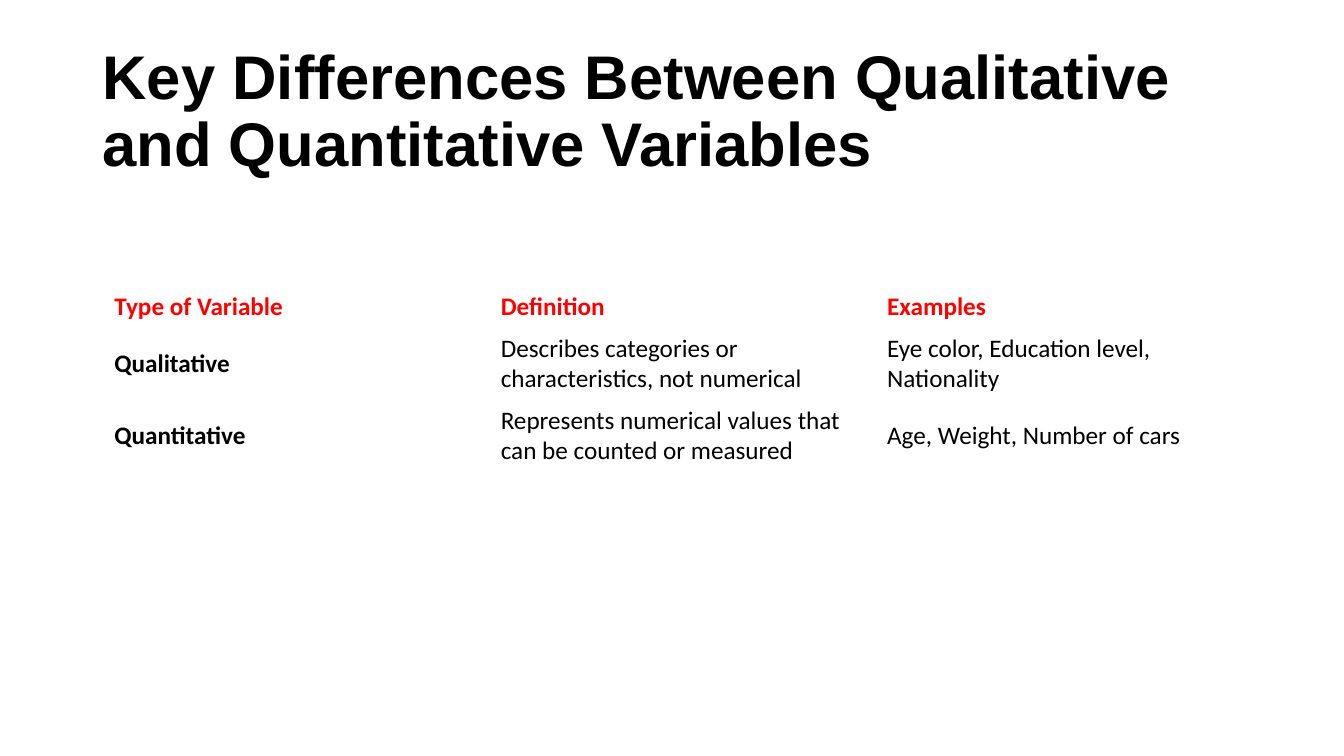
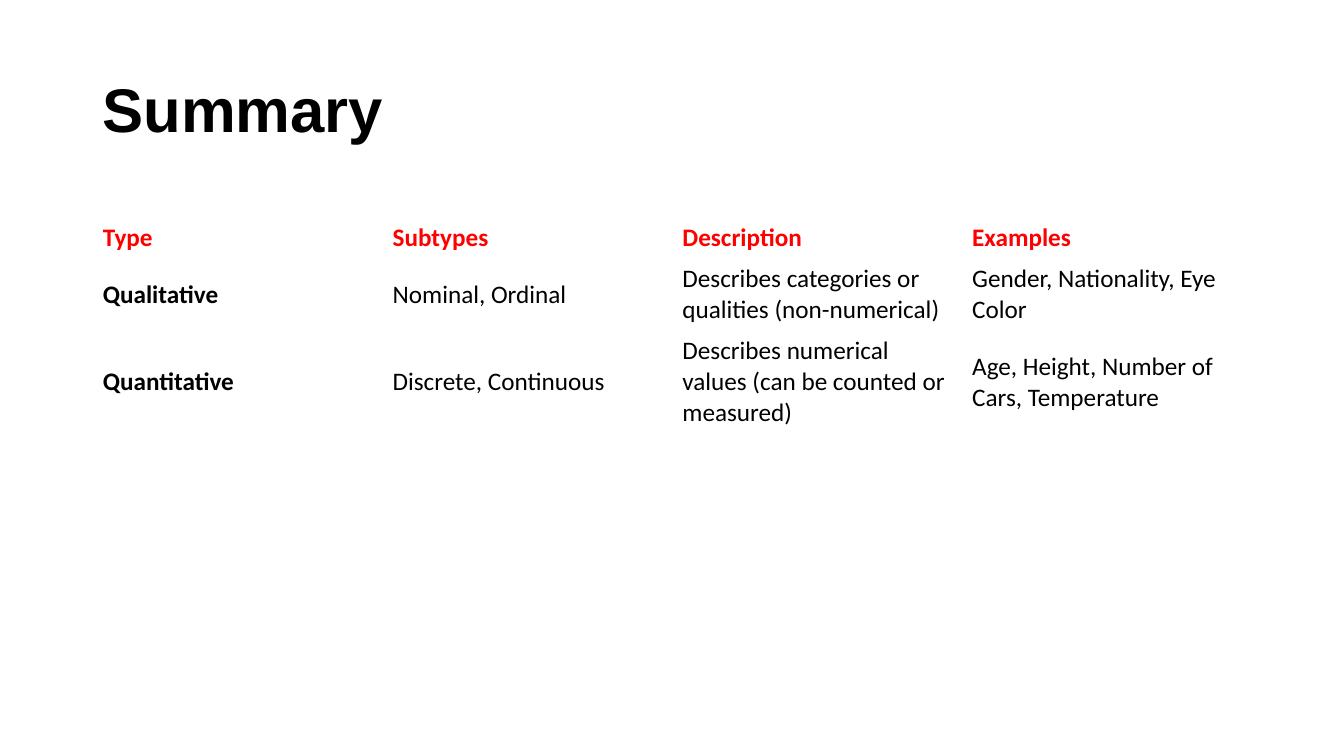
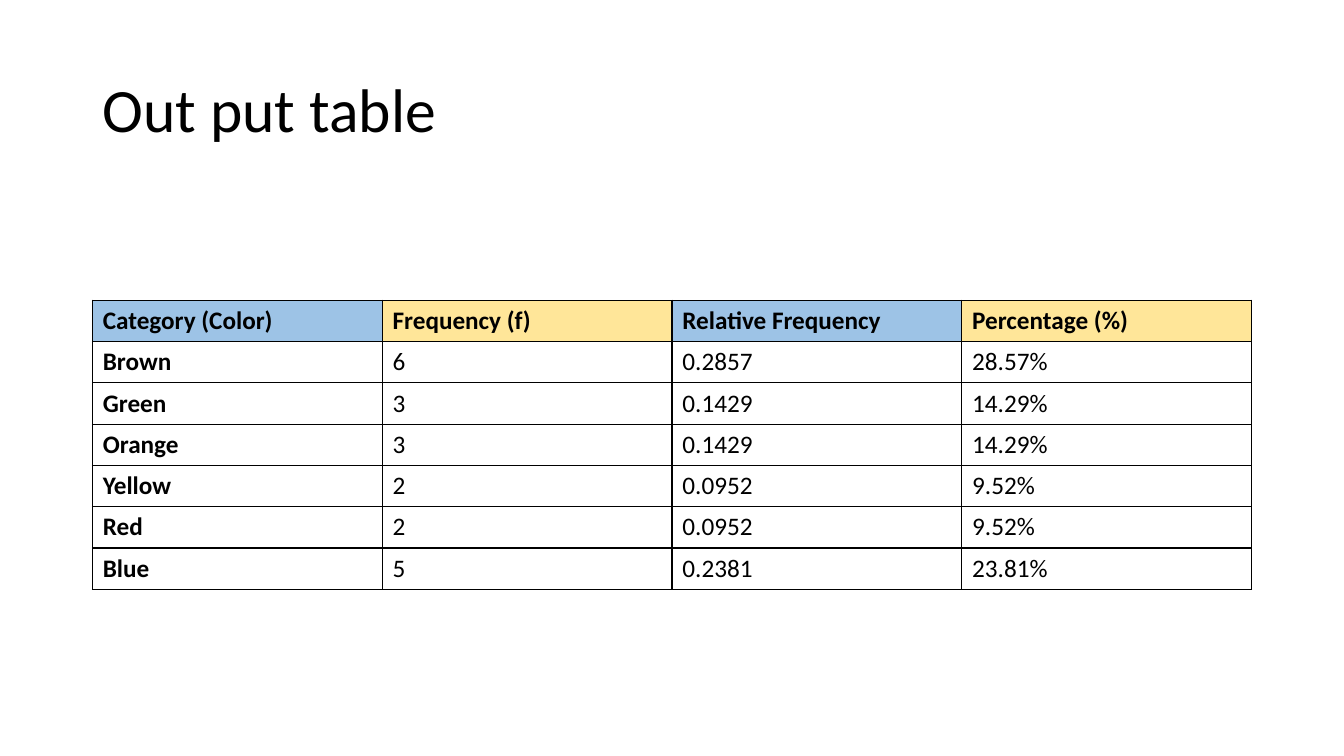
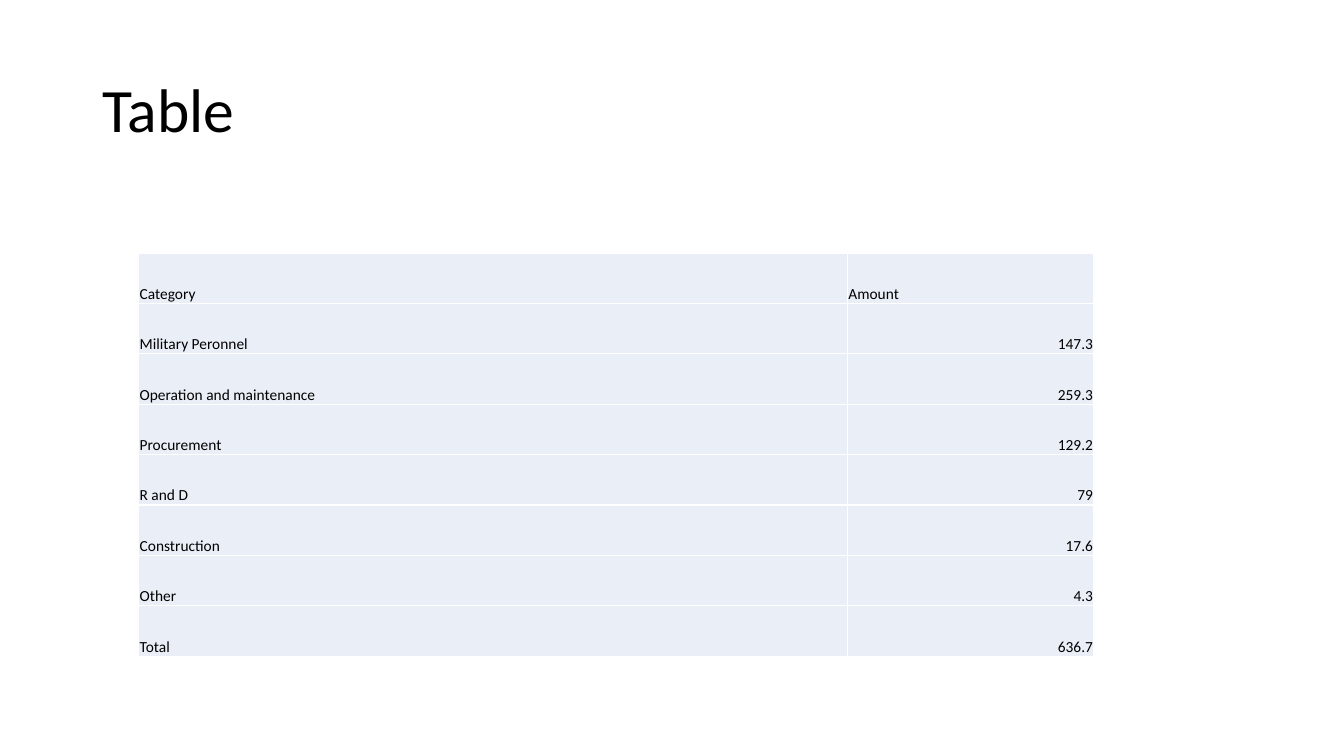
from dataclasses import dataclass
from itertools import cycle
from typing import Optional

from lxml.etree import SubElement
from pptx import Presentation
from pptx.dml.color import RGBColor
from pptx.enum.text import MSO_ANCHOR as Anchor, MSO_AUTO_SIZE as AutoSize, PP_ALIGN as Align
from pptx.oxml.ns import qn
from pptx.util import Pt

EMU_PER_PX = 9525
TITLE_ONLY_LAYOUT = 5


@dataclass(frozen=True)
class Theme:
    body_font: str = "Calibri"
    heading_font: str = "Arial"
    ink: str = "000000"
    red: str = "FF0000"
    blue: str = "9DC3E6"
    yellow: str = "FFE699"
    pale: str = "EAEFF7"
    white: str = "FFFFFF"
    title_size: int = 44
    table_size: int = 18
    small_size: int = 11


THEME = Theme()


@dataclass(frozen=True)
class TableStyle:
    size: int = THEME.table_size
    header_color: str = THEME.ink
    bold_labels: bool = True
    header_fills: tuple[Optional[str], ...] = (None,)
    body_fill: Optional[str] = None
    border: Optional[str] = None
    anchor: Anchor = Anchor.MIDDLE
    number_align: Align = Align.LEFT
    margins: tuple[int, int, int, int] = (10, 5, 10, 5)


@dataclass(frozen=True)
class TableSlide:
    title: str
    left: int
    top: int
    columns: tuple[int, ...]
    row_heights: tuple[int, ...]
    rows: tuple[tuple[str, ...], ...]
    style: TableStyle
    title_font: str = THEME.body_font
    title_bold: bool = False


DEFINITIONS = TableStyle(header_color=THEME.red)
FREQUENCIES = TableStyle(header_fills=(THEME.blue, THEME.yellow), border=THEME.ink)
AMOUNTS = TableStyle(
    size=THEME.small_size,
    bold_labels=False,
    header_fills=(THEME.pale,),
    body_fill=THEME.pale,
    border=THEME.white,
    anchor=Anchor.BOTTOM,
    number_align=Align.RIGHT,
    margins=(1, 1, 1, 0),
)

SLIDES = (
    TableSlide(
        title="Key Differences Between Qualitative and Quantitative Variables",
        left=99,
        top=273,
        columns=(368,) * 3,
        row_heights=(39, 68, 68),
        rows=(
            ("Type of Variable", "Definition", "Examples"),
            ("Qualitative", "Describes categories or characteristics, not numerical",
             "Eye color, Education level, Nationality"),
            ("Quantitative", "Represents numerical values that can be counted or measured",
             "Age, Weight, Number of cars"),
        ),
        style=DEFINITIONS,
        title_font=THEME.heading_font,
        title_bold=True,
    ),
    TableSlide(
        title="Summary",
        left=88,
        top=207,
        columns=(276,) * 4,
        row_heights=(39, 68, 98),
        rows=(
            ("Type", "Subtypes", "Description", "Examples"),
            ("Qualitative", "Nominal, Ordinal",
             "Describes categories or qualities (non-numerical)",
             "Gender, Nationality, Eye Color"),
            ("Quantitative", "Discrete, Continuous",
             "Describes numerical values (can be counted or measured)",
             "Age, Height, Number of Cars, Temperature"),
        ),
        style=DEFINITIONS,
        title_font=THEME.heading_font,
        title_bold=True,
    ),
    TableSlide(
        title="Out put table",
        left=88,
        top=286,
        columns=(276,) * 4,
        row_heights=(39,) * 7,
        rows=(
            ("Category (Color)", "Frequency (f)", "Relative Frequency", "Percentage (%)"),
            ("Brown", "6", "0.2857", "28.57%"),
            ("Green", "3", "0.1429", "14.29%"),
            ("Orange", "3", "0.1429", "14.29%"),
            ("Yellow", "2", "0.0952", "9.52%"),
            ("Red", "2", "0.0952", "9.52%"),
            ("Blue", "5", "0.2381", "23.81%"),
        ),
        style=FREQUENCIES,
    ),
    TableSlide(
        title="Table",
        left=132,
        top=241,
        columns=(675, 235),
        row_heights=(48,) * 8,
        rows=(
            ("Category", "Amount"),
            ("Military Peronnel", "147.3"),
            ("Operation and maintenance", "259.3"),
            ("Procurement", "129.2"),
            ("R and D", "79"),
            ("Construction", "17.6"),
            ("Other", "4.3"),
            ("Total", "636.7"),
        ),
        style=AMOUNTS,
    ),
)


def px(length: int) -> int:
    return length * EMU_PER_PX


def write_text(text_frame, text: str, *, size: int, font: str = THEME.body_font,
               color: str = THEME.ink, bold: bool = False, align: Align = Align.LEFT,
               line_spacing: float = 1.0) -> None:
    paragraph = text_frame.paragraphs[0]
    paragraph.alignment = align
    paragraph.line_spacing = line_spacing
    run = paragraph.add_run()
    run.text = text
    run.font.name = font
    run.font.size = Pt(size)
    run.font.bold = bold
    run.font.color.rgb = RGBColor.from_string(color)


def add_title(slide, content: TableSlide) -> None:
    title = slide.shapes.title
    title.left, title.top, title.width, title.height = map(px, (88, 38, 1104, 139))
    text_frame = title.text_frame
    text_frame.word_wrap = True
    text_frame.auto_size = AutoSize.NONE
    text_frame.vertical_anchor = Anchor.MIDDLE
    write_text(text_frame, content.title, size=THEME.title_size, font=content.title_font,
               bold=content.title_bold, line_spacing=0.9)


def set_borders(cell, color: str) -> None:
    properties = cell._tc.get_or_add_tcPr()
    for side in ("lnL", "lnR", "lnT", "lnB"):
        line = SubElement(properties, qn(f"a:{side}"), w=str(Pt(1)))
        SubElement(SubElement(line, qn("a:solidFill")), qn("a:srgbClr"), val=color)


def format_cell(cell, style: TableStyle, fill: Optional[str]) -> None:
    cell.vertical_anchor = style.anchor
    (cell.margin_left, cell.margin_top,
     cell.margin_right, cell.margin_bottom) = map(px, style.margins)
    if style.border:
        set_borders(cell, style.border)
    if fill:
        cell.fill.solid()
        cell.fill.fore_color.rgb = RGBColor.from_string(fill)
    else:
        cell.fill.background()


def add_table(slide, content: TableSlide) -> None:
    style = content.style
    table = slide.shapes.add_table(
        len(content.rows), len(content.columns), px(content.left), px(content.top),
        px(sum(content.columns)), px(sum(content.row_heights))).table
    table.first_row = False
    table.horz_banding = False
    for column, width in zip(table.columns, content.columns):
        column.width = px(width)
    for row, height in zip(table.rows, content.row_heights):
        row.height = px(height)
    for row_index, texts in enumerate(content.rows):
        is_header = row_index == 0
        fills = cycle(style.header_fills if is_header else (style.body_fill,))
        for column_index, (text, fill) in enumerate(zip(texts, fills)):
            is_label = is_header or column_index == 0
            cell = table.cell(row_index, column_index)
            format_cell(cell, style, fill)
            write_text(cell.text_frame, text, size=style.size,
                       color=style.header_color if is_header else THEME.ink,
                       bold=style.bold_labels and is_label,
                       align=Align.LEFT if is_label else style.number_align)


def main() -> None:
    presentation = Presentation()
    presentation.slide_width = px(1280)
    presentation.slide_height = px(720)
    layout = presentation.slide_layouts[TITLE_ONLY_LAYOUT]
    for content in SLIDES:
        slide = presentation.slides.add_slide(layout)
        add_title(slide, content)
        add_table(slide, content)
    presentation.save("out.pptx")


if __name__ == "__main__":
    main()
